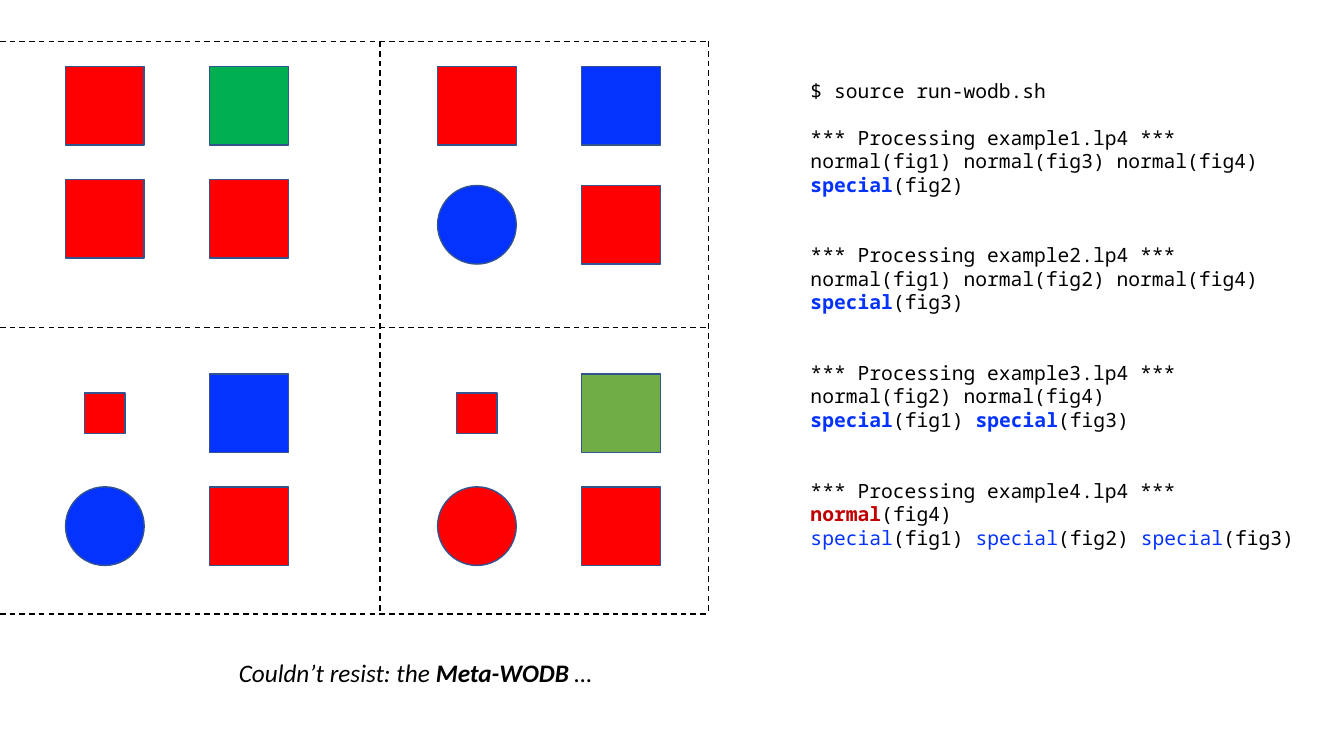
from lxml.etree import SubElement
from pptx import Presentation
from pptx.dml.color import RGBColor
from pptx.enum.dml import MSO_LINE
from pptx.enum.shapes import MSO_CONNECTOR, MSO_SHAPE
from pptx.enum.text import MSO_AUTO_SIZE
from pptx.oxml.ns import qn
from pptx.util import Inches, Pt

RED = RGBColor(0xFF, 0x00, 0x00)
GREEN = RGBColor(0x00, 0xB0, 0x50)
OLIVE = RGBColor(0x70, 0xAD, 0x47)
BLUE = RGBColor(0x04, 0x32, 0xFF)
CRIMSON = RGBColor(0xC0, 0x00, 0x00)
OUTLINE = RGBColor(0x32, 0x54, 0x91)
BLACK = RGBColor(0x00, 0x00, 0x00)

SQUARE, CIRCLE = MSO_SHAPE.RECTANGLE, MSO_SHAPE.OVAL
FULL, SMALL = 0.78, 0.4
FIGURE_STEP = 1.43

# Each puzzle: left, top, row step, then fig1..fig4 row by row
PUZZLES = [
    (0.65, 0.66, 1.12, [(SQUARE, RED, FULL), (SQUARE, GREEN, FULL),
                        (SQUARE, RED, FULL), (SQUARE, RED, FULL)]),
    (4.34, 0.66, 1.18, [(SQUARE, RED, FULL), (SQUARE, BLUE, FULL),
                        (CIRCLE, BLUE, FULL), (SQUARE, RED, FULL)]),
    (0.65, 3.71, 1.12, [(SQUARE, RED, SMALL), (SQUARE, BLUE, FULL),
                        (CIRCLE, BLUE, FULL), (SQUARE, RED, FULL)]),
    (4.34, 3.71, 1.12, [(SQUARE, RED, SMALL), (SQUARE, OLIVE, FULL),
                        (CIRCLE, RED, FULL), (SQUARE, RED, FULL)]),
]

GRID_ROWS = [0.41, 3.25, 6.09]
GRID_COLUMNS = [3.77, 7.03]

PLAIN = {"bold": False, "color": BLACK}
SPECIAL = {"bold": True, "color": BLUE}
QUIET_SPECIAL = {"bold": False, "color": BLUE}
NORMAL = {"bold": True, "color": CRIMSON}

COMMAND = "$ source run-wodb.sh"
# Each result: the lines below its heading, as runs of (text, style)
RESULTS = [
    [[("normal(fig1) normal(fig3) normal(fig4)", PLAIN)],
     [("special", SPECIAL), ("(fig2)", PLAIN)]],
    [[("normal(fig1) normal(fig2) normal(fig4)", PLAIN)],
     [("special", SPECIAL), ("(fig3)", PLAIN)]],
    [[("normal(fig2) normal(fig4)", PLAIN)],
     [("special", SPECIAL), ("(fig1) ", PLAIN),
      ("special", SPECIAL), ("(fig3)", PLAIN)]],
    [[("normal", NORMAL), ("(fig4)", PLAIN)],
     [("special", QUIET_SPECIAL), ("(fig1) ", PLAIN),
      ("special", QUIET_SPECIAL), ("(fig2) ", PLAIN),
      ("special", QUIET_SPECIAL), ("(fig3)", PLAIN)]],
]
CONSOLE_FONT = {"name": "Noto Sans Mono", "size": Pt(14)}
CONSOLE_LINE = 16.8

CAPTION = [("Couldn’t resist: the ", PLAIN),
           ("Meta-WODB", {"bold": True, "color": BLACK}), (" … ", PLAIN)]
CAPTION_FONT = {"name": "Calibri", "size": Pt(18), "italic": True}


def add_puzzle(slide, left, top, row_step, figures):
    """Draw one group of four figures, each centred in its cell."""
    puzzle = slide.shapes.add_group_shape().shapes
    for index, (outline, color, size) in enumerate(figures):
        row, column = divmod(index, 2)
        inset = (FULL - size) / 2
        figure = puzzle.add_shape(
            outline, Inches(left + column * FIGURE_STEP + inset),
            Inches(top + row * row_step + inset), Inches(size), Inches(size))
        figure.shadow.inherit = False
        figure.fill.solid()
        figure.fill.fore_color.rgb = color
        figure.line.color.rgb = OUTLINE
        figure.line.width = Pt(1)


def add_divider(slide, *ends):
    """Draw a dashed line given its two end points in inches."""
    divider = slide.shapes.add_connector(
        MSO_CONNECTOR.STRAIGHT, *[Inches(end) for end in ends])
    divider.line.color.rgb = BLACK
    divider.line.width = Pt(1)
    divider.line.dash_style = MSO_LINE.DASH
    SubElement(divider._element.spPr, qn("a:effectLst"))


def add_text_frame(slide, box, wrap):
    """Add a text box that grows with its text and return its frame."""
    frame = slide.shapes.add_textbox(*[Inches(side) for side in box]).text_frame
    frame.word_wrap = wrap
    frame.auto_size = MSO_AUTO_SIZE.SHAPE_TO_FIT_TEXT
    return frame


def add_runs(paragraph, runs, font):
    """Fill a paragraph with styled runs sharing one font."""
    for text, style in runs:
        run = paragraph.add_run()
        run.text = text
        for attribute, value in font.items():
            setattr(run.font, attribute, value)
        run.font.bold = style["bold"]
        run.font.color.rgb = style["color"]


def add_console(slide):
    """Write the command and its results, spaced in whole lines."""
    console = add_text_frame(slide, (7.94, 0.73, 5.01, 5.05), True)
    lines = [(0, [(COMMAND, PLAIN)])]
    for number, result in enumerate(RESULTS, start=1):
        heading = f"*** Processing example{number}.lp4 ***"
        lines.append((1 if number == 1 else 2, [(heading, PLAIN)]))
        lines += [(0, runs) for runs in result]
    for index, (gap, runs) in enumerate(lines):
        paragraph = console.add_paragraph() if index else console.paragraphs[0]
        paragraph.line_spacing = Pt(CONSOLE_LINE)
        paragraph.space_before = Pt(gap * CONSOLE_LINE)
        add_runs(paragraph, runs, CONSOLE_FONT)


presentation = Presentation()
presentation.slide_width = Inches(13.33)
presentation.slide_height = Inches(7.5)
slide = presentation.slides.add_slide(presentation.slide_layouts[6])

for puzzle in PUZZLES:
    add_puzzle(slide, *puzzle)
for y in GRID_ROWS:
    add_divider(slide, 0, y, GRID_COLUMNS[-1], y)
for x in GRID_COLUMNS:
    add_divider(slide, x, GRID_ROWS[0], x, GRID_ROWS[-1])
caption = add_text_frame(slide, (2.27, 6.47, 3.77, 0.4), False)
add_runs(caption.paragraphs[0], CAPTION, CAPTION_FONT)
add_console(slide)

presentation.save("out.pptx")
